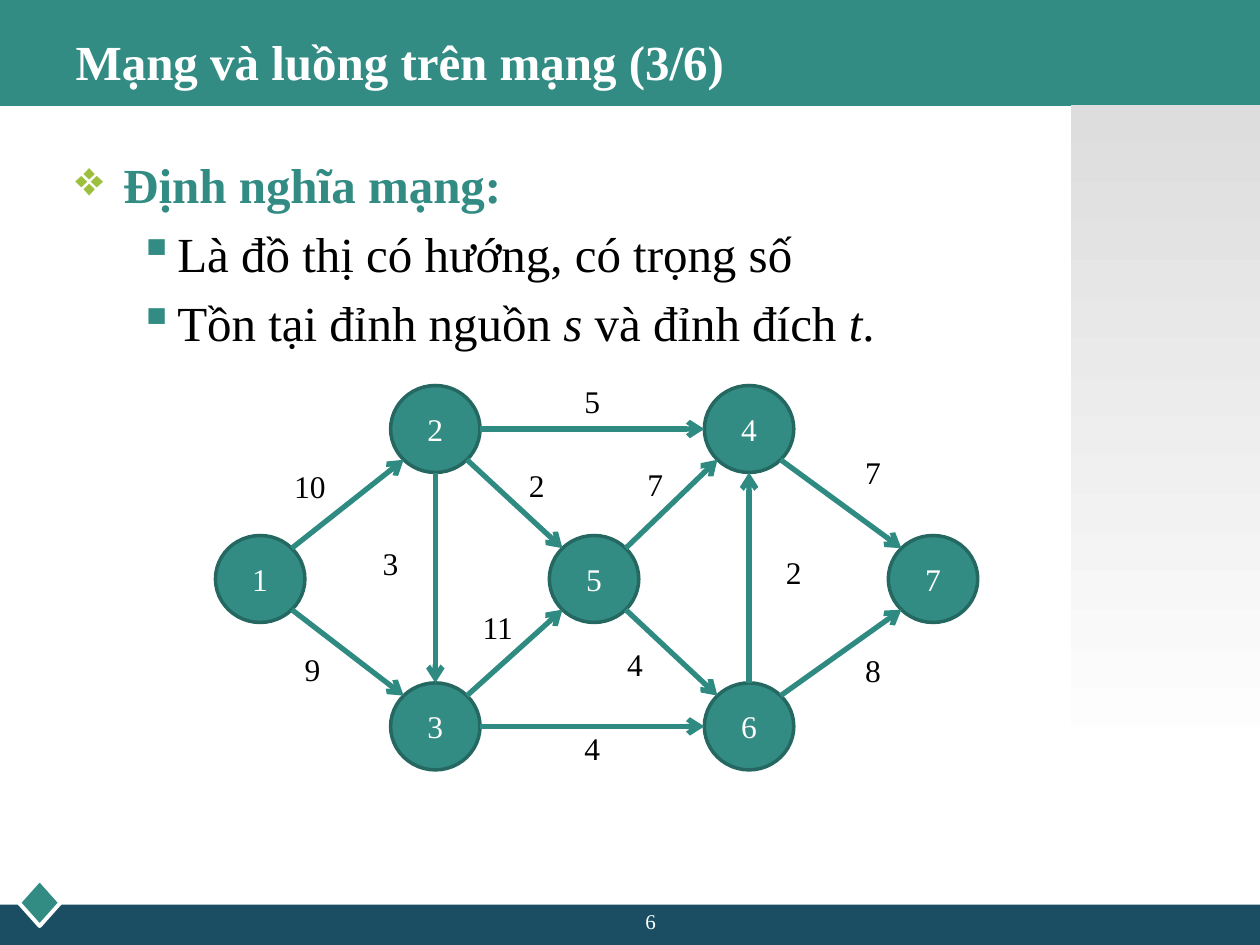
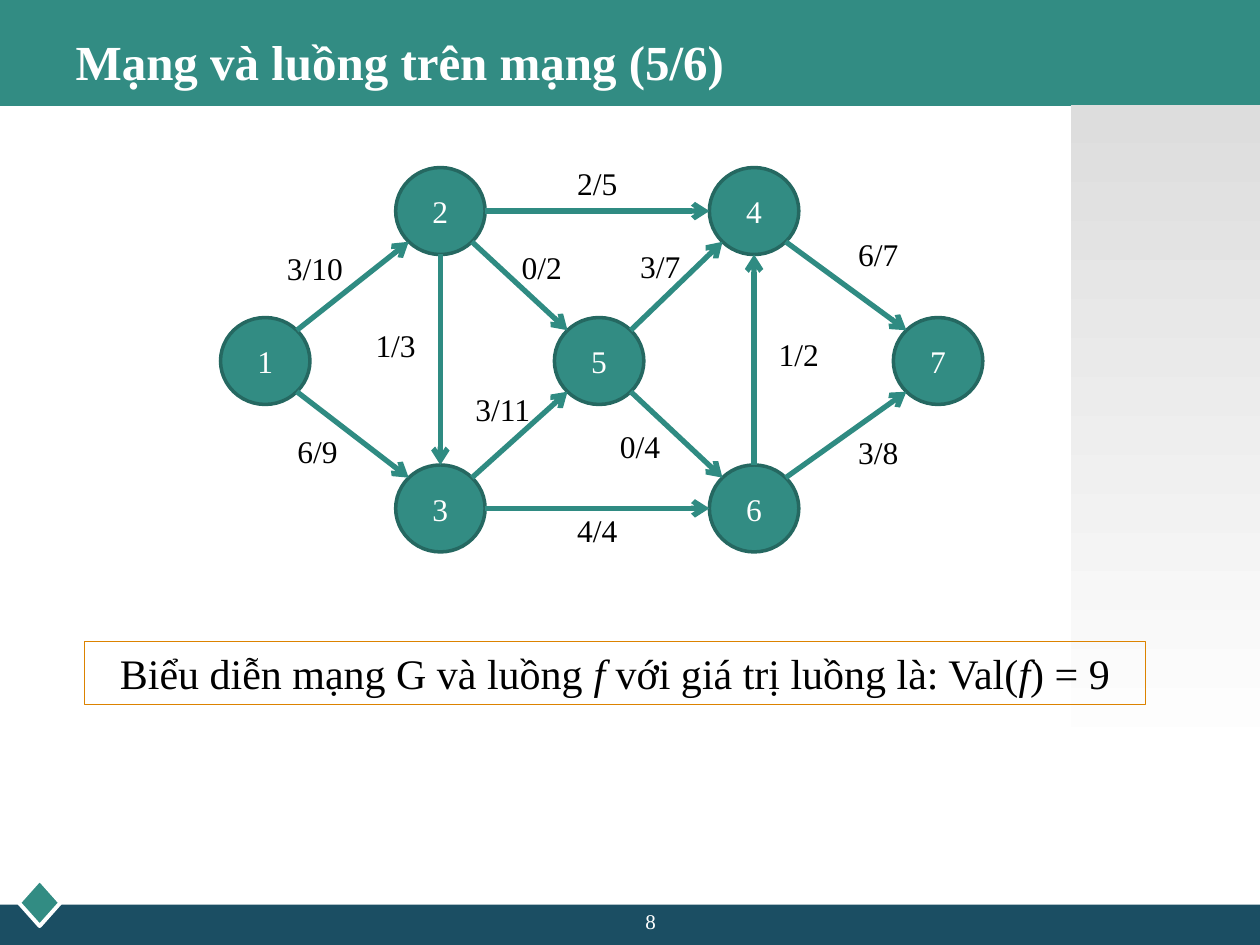
import math

import lxml.etree
import pptx
import pptx.dml.color
import pptx.enum.dml
import pptx.enum.shapes
import pptx.enum.text
import pptx.oxml.ns
import pptx.util

Inches = pptx.util.Inches
Pt = pptx.util.Pt
SHAPE = pptx.enum.shapes.MSO_SHAPE
ALIGN = pptx.enum.text.PP_ALIGN
ANCHOR = pptx.enum.text.MSO_ANCHOR
qn = pptx.oxml.ns.qn

FONT = "Times New Roman"
COLORS = {
    "teal": "328C83",
    "teal_edge": "256861",
    "arrow": "2F8B82",
    "navy": "1B4E63",
    "orange": "DC8300",
    "lime": "9DC03C",
    "grey": "DDDDDD",
    "white": "FFFFFF",
    "black": "000000",
}

# Network geometry, measured from the top left corner of the network
NODE_WIDTH, NODE_HEIGHT = 0.71, 0.69
NODES = {
    "3": (1.39, 2.36),
    "6": (3.88, 2.36),
    "5": (2.65, 1.19),
    "7": (5.34, 1.19),
    "4": (3.88, 0),
    "2": (1.39, 0),
    "1": (0, 1.19),
}
# Connection sites of an ellipse, counter-clockwise from the top
TOP, TOP_LEFT, LEFT, BOTTOM_LEFT, BOTTOM, BOTTOM_RIGHT, RIGHT, TOP_RIGHT = range(8)
# Start node and site, end node and site, label position
EDGES = [
    ("1", TOP_RIGHT, "2", BOTTOM_LEFT, (0.25, 0.6)),
    ("2", RIGHT, "4", LEFT, (2.49, -0.08)),
    ("1", BOTTOM_RIGHT, "3", TOP_LEFT, (0.27, 2.05)),
    ("3", RIGHT, "6", LEFT, (2.49, 2.68)),
    ("2", BOTTOM_RIGHT, "5", TOP_LEFT, (2.05, 0.59)),
    ("3", TOP_RIGHT, "5", BOTTOM_LEFT, (1.74, 1.72)),
    ("5", TOP_RIGHT, "4", BOTTOM_LEFT, (2.99, 0.58)),
    ("5", BOTTOM_RIGHT, "6", TOP_LEFT, (2.83, 2.01)),
    ("2", BOTTOM, "3", TOP, (0.89, 1.21)),
    ("6", TOP, "4", BOTTOM, (4.09, 1.28)),
    ("4", BOTTOM_RIGHT, "7", TOP_LEFT, (4.72, 0.49)),
    ("6", TOP_RIGHT, "7", BOTTOM_LEFT, (4.72, 2.06)),
]
CAPACITIES = ["10", "5", "9", "4", "2", "11", "7", "4", "3", "2", "7", "8"]
FLOWS = ["3/10", "2/5", "6/9", "4/4", "0/2", "3/11",
         "3/7", "0/4", "1/3", "1/2", "6/7", "3/8"]


def rgb(name):
    return pptx.dml.color.RGBColor.from_string(COLORS[name])


def format_runs(para, size, color, bold=False):
    for span in para.runs:
        span.font.name = FONT
        span.font.size = Pt(size)
        span.font.color.rgb = rgb(color)
        span.font.bold = bold


def write_with_italics(para, text):
    """Write text in which *stars* enclose the italic parts."""
    for index, piece in enumerate(text.split("*")):
        span = para.add_run()
        span.text = piece
        span.font.italic = index % 2 == 1


def add_figure(shapes, kind, at, fill=None, line=None, line_width=0.75):
    figure = shapes.add_shape(kind, *map(Inches, at))
    figure.shadow.inherit = False
    if fill:
        figure.fill.solid()
        figure.fill.fore_color.rgb = rgb(fill)
    else:
        figure.fill.background()
    if line:
        figure.line.color.rgb = rgb(line)
        figure.line.width = Pt(line_width)
    else:
        figure.line.fill.background()
    return figure


def add_label(shapes, at, text, size, color):
    box = shapes.add_textbox(*map(Inches, at))
    box.text_frame.word_wrap = True
    box.text_frame.text = text
    para = box.text_frame.paragraphs[0]
    para.alignment = ALIGN.CENTER
    format_runs(para, size, color)


def add_bullet(para, symbol, color, margin, hanging):
    props = para._p.get_or_add_pPr()
    props.set("marL", str(Inches(margin)))
    props.set("indent", str(-Inches(hanging)))
    bullet_color = lxml.etree.SubElement(props, qn("a:buClr"))
    lxml.etree.SubElement(bullet_color, qn("a:srgbClr"), val=COLORS[color])
    lxml.etree.SubElement(props, qn("a:buChar"), char=symbol)


def add_frame(page):
    """Bands, corner diamond and side gradient found on every slide."""
    add_figure(page.shapes, SHAPE.RECTANGLE, (0, 0, 10, 0.84), "teal")
    add_figure(page.shapes, SHAPE.RECTANGLE, (0, 7.18, 10, 0.32), "navy")
    add_figure(page.shapes, SHAPE.DIAMOND, (0.15, 6.98, 0.33, 0.37), "teal", "white", 2.25)
    side = add_figure(page.shapes, SHAPE.RECTANGLE, (8.5, 0.83, 1.5, 5.25))
    side.fill.gradient()
    side.fill.gradient_angle = 270
    for stop, color in zip(side.fill.gradient_stops, ("grey", "white")):
        stop.color.rgb = rgb(color)


def add_page(deck, title_text, number):
    page = deck.slides.add_slide(deck.slide_layouts[5])
    add_frame(page)
    title = page.shapes.title
    title.left, title.top, title.width, title.height = map(Inches, (0.5, 0.17, 9, 0.62))
    title.text_frame.text = title_text
    title.text_frame.vertical_anchor = ANCHOR.MIDDLE
    para = title.text_frame.paragraphs[0]
    para.alignment = ALIGN.LEFT
    format_runs(para, 28, "white", bold=True)
    # Bring the title in front of the top band
    title.element.getparent().append(title.element)
    add_label(page.shapes, (4, 7.16, 2.33, 0.26), number, 12, "white")
    return page


def add_node(shapes, name, left, top):
    node = add_figure(shapes, SHAPE.OVAL, (left, top, NODE_WIDTH, NODE_HEIGHT),
                      "teal", "teal_edge", 2)
    node.text_frame.text = name
    node.text_frame.vertical_anchor = ANCHOR.MIDDLE
    para = node.text_frame.paragraphs[0]
    para.alignment = ALIGN.CENTER
    format_runs(para, 18, "white")
    return node


def site_point(node, site):
    angle = math.radians(90 + 45 * site)
    return (round(node.left + node.width / 2 * (1 + math.cos(angle))),
            round(node.top + node.height / 2 * (1 - math.sin(angle))))


def add_arrow(shapes, start, start_site, end, end_site):
    arrow = shapes.add_connector(pptx.enum.shapes.MSO_CONNECTOR.STRAIGHT,
                                 *site_point(start, start_site), *site_point(end, end_site))
    arrow.line.color.rgb = rgb("arrow")
    arrow.line.width = Pt(3)
    lxml.etree.SubElement(arrow.line._get_or_add_ln(), qn("a:tailEnd"), type="arrow")
    lxml.etree.SubElement(arrow.element.spPr, qn("a:effectLst"))
    # Join the diagonal sites too, which begin_connect does not know
    joints = arrow.element.find(".//" + qn("p:cNvCxnSpPr"))
    for tag, node, site in (("a:stCxn", start, start_site), ("a:endCxn", end, end_site)):
        lxml.etree.SubElement(joints, qn(tag), id=str(node.shape_id), idx=str(site))


def add_network(page, left, top, labels):
    shapes = page.shapes.add_group_shape().shapes
    nodes = {name: add_node(shapes, name, left + x, top + y)
             for name, (x, y) in NODES.items()}
    for (start, start_site, end, end_site, (x, y)), label in zip(EDGES, labels):
        add_arrow(shapes, nodes[start], start_site, nodes[end], end_site)
        add_label(shapes, (left + x, top + y, 1, 0.4), label, 18, "black")


def add_definition(page, heading, points):
    box = page.shapes.add_textbox(*map(Inches, (0.5, 1.18, 9, 1.75)))
    box.text_frame.word_wrap = True
    box.text_frame.text = heading
    para = box.text_frame.paragraphs[0]
    add_bullet(para, "❖", "lime", 0.38, 0.38)
    format_runs(para, 28, "teal", bold=True)
    for point in points:
        para = box.text_frame.add_paragraph()
        para.level = 1
        para.space_before = Pt(5.6)
        add_bullet(para, "▪", "teal", 0.81, 0.31)
        write_with_italics(para, point)
        format_runs(para, 28, "black")


def add_caption(page, text):
    caption = add_figure(page.shapes, SHAPE.RECTANGLE, (0.67, 5.09, 8.42, 0.5), line="orange")
    para = caption.text_frame.paragraphs[0]
    para.alignment = ALIGN.CENTER
    write_with_italics(para, text)
    format_runs(para, 24, "black")


def main():
    deck = pptx.Presentation()
    deck.slide_width, deck.slide_height = Inches(10), Inches(7.5)

    # Definition of a network
    page = add_page(deck, "Mạng và luồng trên mạng (3/6)", "6")
    add_definition(page, "Định nghĩa mạng:", [
        "Là đồ thị có hướng, có trọng số",
        "Tồn tại đỉnh nguồn *s* và đỉnh đích *t*.",
    ])
    add_network(page, 1.71, 3.06, CAPACITIES)

    # Flow on the network
    page = add_page(deck, "Mạng và luồng trên mạng (5/6)", "8")
    add_network(page, 1.75, 1.33, FLOWS)
    add_caption(page, "Biểu diễn mạng G và luồng *f* với giá trị luồng là: Val(*f*) = 9")

    deck.save("out.pptx")


if __name__ == "__main__":
    main()
